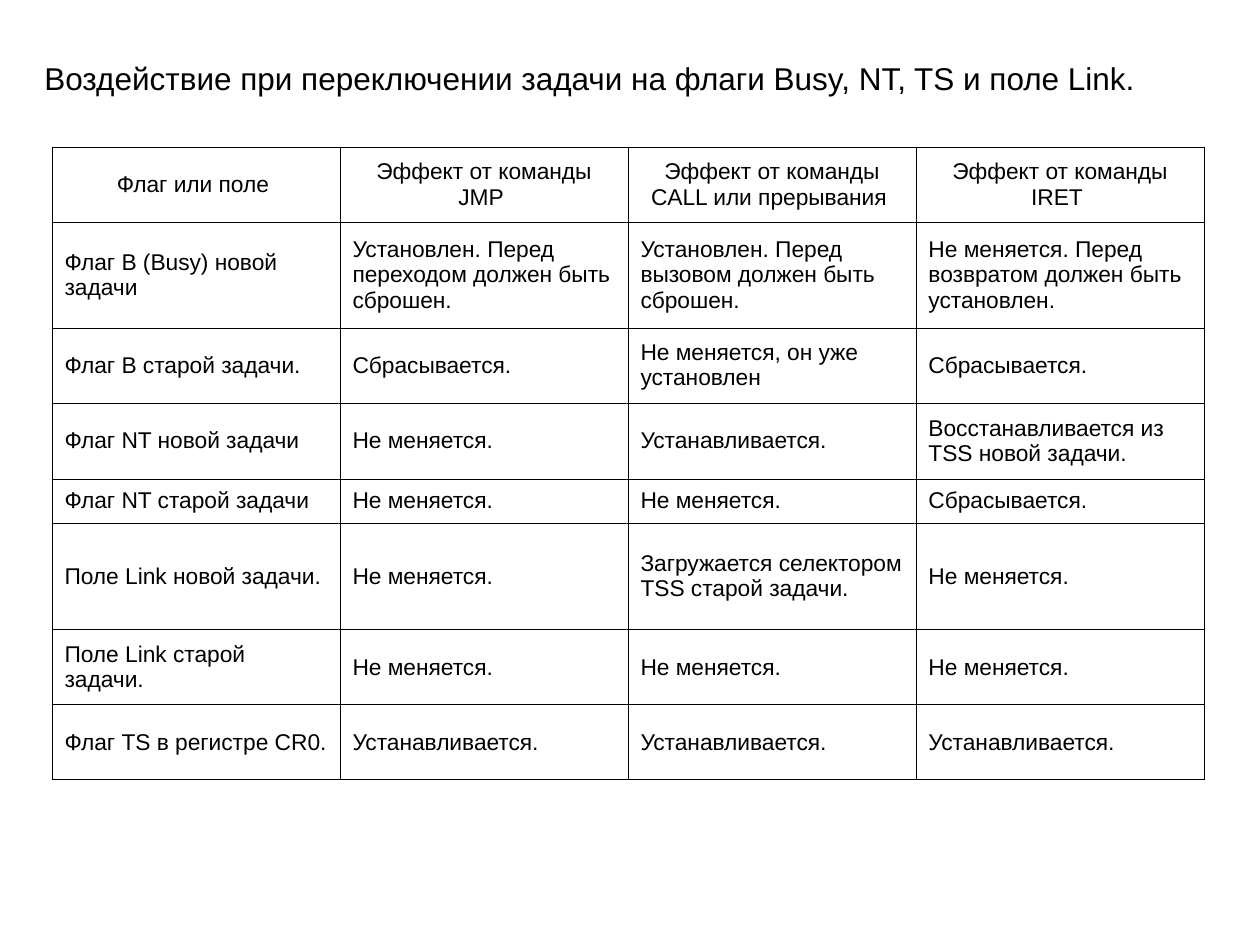
import pptx
import pptx.util
import pptx.dml.color
import pptx.enum.text
import pptx.oxml.xmlchemy
from lxml import etree

TITLE = "Воздействие при переключении задачи на флаги Busy, NT, TS и поле Link."
ROWS = [
    (75, ("Флаг или поле ", "Эффект от команды JMP ",
          "Эффект от команды CALL или прерывания ", "Эффект от команды IRET ")),
    (106, ("Флаг B (Busy) новой задачи",
           "Установлен. Перед переходом должен быть сброшен.",
           "Установлен. Перед вызовом должен быть сброшен.",
           "Не меняется. Перед возвратом должен быть установлен.")),
    (75, ("Флаг B старой задачи.", "Сбрасывается.",
          "Не меняется, он уже установлен", "Сбрасывается.")),
    (76, ("Флаг NT новой задачи", "Не меняется.", "Устанавливается.",
          "Восстанавливается из TSS новой задачи.")),
    (44, ("Флаг NT старой задачи", "Не меняется.", "Не меняется.", "Сбрасывается.")),
    (107, ("Поле Link новой задачи.", "Не меняется.",
           "Загружается селектором TSS старой задачи.", "Не меняется.")),
    (75, ("Поле Link старой задачи.", "Не меняется.", "Не меняется.", "Не меняется.")),
    (75, ("Флаг TS в регистре CR0.", "Устанавливается.", "Устанавливается.",
          "Устанавливается.")),
]
COLORS = {"text": "000000", "border": "000000", "cell": "FFFFFF"}
FONT = "Arial"
TITLE_SIZE, CELL_SIZE = 18, 13
BORDER_WIDTH = 0.34
COLUMN_WIDTH = 288
TITLE_BOX = (32, 53, 1134, 50)
TABLE_ORIGIN = (52, 147)
DRAWING = "http://schemas.openxmlformats.org/drawingml/2006/main"


def px(value):
    return pptx.util.Emu(round(value * 914400 / 126))


def color(name):
    return pptx.dml.color.RGBColor.from_string(COLORS[name])


def write(paragraph, text, size, alignment):
    paragraph.alignment = alignment
    run = paragraph.add_run()
    run.text = text
    for name, value in {"name": FONT, "size": pptx.util.Pt(size)}.items():
        setattr(run.font, name, value)
    run.font.color.rgb = color("text")


def add_borders(cell):
    properties = cell._tc.get_or_add_tcPr()
    for index, side in enumerate(("lnL", "lnR", "lnT", "lnB")):
        line = etree.Element(f"{{{DRAWING}}}{side}", w=str(pptx.util.Pt(BORDER_WIDTH)))
        fill = etree.SubElement(line, f"{{{DRAWING}}}solidFill")
        etree.SubElement(fill, f"{{{DRAWING}}}srgbClr", val=COLORS["border"])
        properties.insert(index, line)


def add_title(slide):
    frame = slide.shapes.add_textbox(*map(px, TITLE_BOX)).text_frame
    settings = {
        "word_wrap": False,
        "auto_size": pptx.enum.text.MSO_AUTO_SIZE.SHAPE_TO_FIT_TEXT,
        "vertical_anchor": pptx.enum.text.MSO_ANCHOR.MIDDLE,
    }
    for name, value in settings.items():
        setattr(frame, name, value)
    write(frame.paragraphs[0], TITLE, TITLE_SIZE, pptx.enum.text.PP_ALIGN.LEFT)


def add_flag_table(slide):
    column_count = len(ROWS[0][1])
    size = (column_count * COLUMN_WIDTH, sum(height for height, _ in ROWS))
    table = slide.shapes.add_table(
        len(ROWS), column_count, *map(px, TABLE_ORIGIN + size)).table
    table.first_row = table.horz_banding = False
    for column in table.columns:
        column.width = px(COLUMN_WIDTH)
    for row_index, (height, texts) in enumerate(ROWS):
        table.rows[row_index].height = px(height)
        alignment = (pptx.enum.text.PP_ALIGN.LEFT if row_index
                     else pptx.enum.text.PP_ALIGN.CENTER)
        for cell, text in zip(table.rows[row_index].cells, texts):
            cell.vertical_anchor = pptx.enum.text.MSO_ANCHOR.MIDDLE
            cell.fill.solid()
            cell.fill.fore_color.rgb = color("cell")
            add_borders(cell)
            write(cell.text_frame.paragraphs[0], text, CELL_SIZE, alignment)


def main():
    presentation = pptx.Presentation()
    presentation.slide_width, presentation.slide_height = px(1260), px(945)
    slide = presentation.slides.add_slide(presentation.slide_layouts[6])
    add_title(slide)
    add_flag_table(slide)
    presentation.save("out.pptx")


if __name__ == "__main__":
    main()
